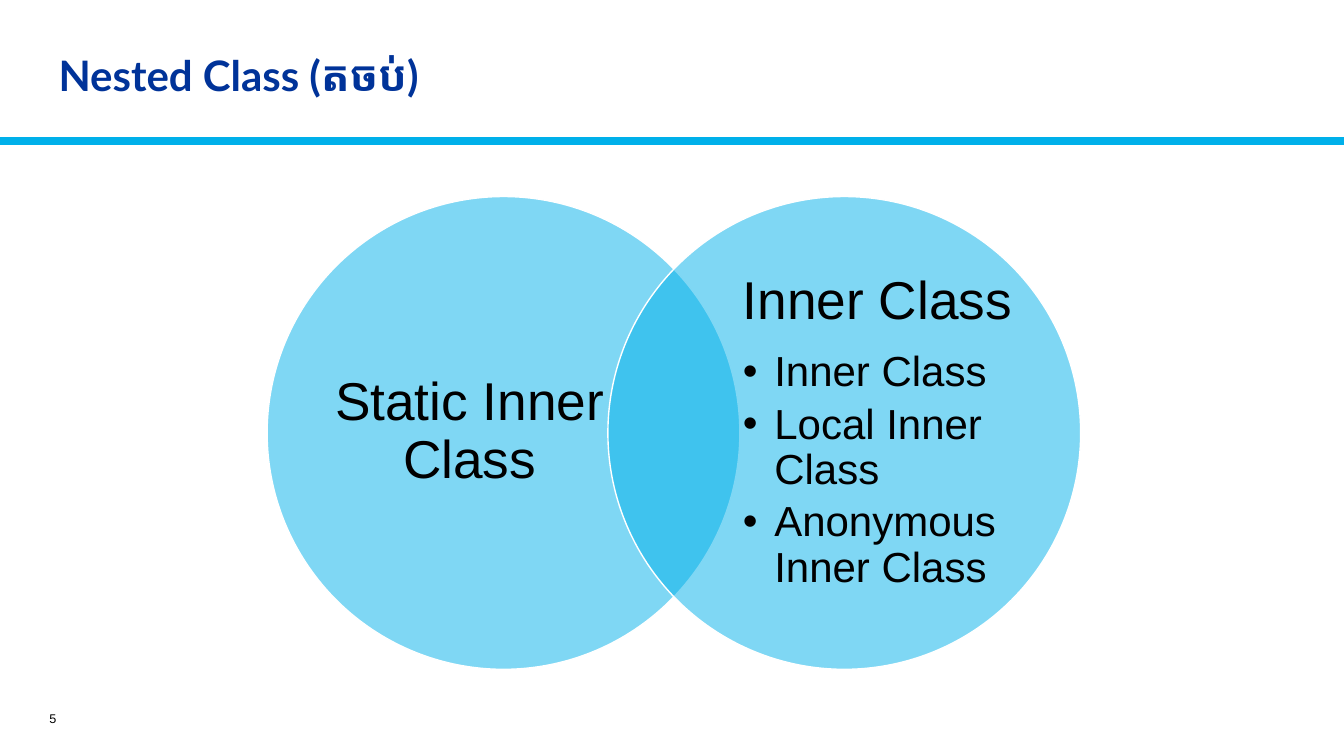
from lxml import etree
from pptx import Presentation
from pptx.dml.color import RGBColor
from pptx.enum.shapes import MSO_CONNECTOR, MSO_SHAPE
from pptx.enum.text import MSO_ANCHOR, MSO_AUTO_SIZE, PP_ALIGN
from pptx.oxml.ns import qn
from pptx.util import Pt

NAVY = RGBColor(0x00, 0x33, 0x99)
CYAN = RGBColor(0x00, 0xB0, 0xEA)
WHITE = RGBColor(0xFF, 0xFF, 0xFF)
BLACK = RGBColor(0x00, 0x00, 0x00)

WIDTH, HEIGHT = 960, 540
DIAMETER = 337.7
CIRCLE_LEFT, CIRCLE_TOP, CIRCLE_STEP = 190.8, 140.4, 243.4
LABEL_TOP, LABEL_WIDTH, LABEL_HEIGHT = 180, 194.4, 257.8


class SlideBuilder:
    """Holds the style and the current slide; lengths are in points."""

    heading_font = "Lato"
    body_font = "Arial"

    def __init__(self, slide):
        self.slide = slide
        self.shapes = slide.shapes

    def place(self, shape, left, top, width, height):
        shape.left, shape.top = Pt(left), Pt(top)
        shape.width, shape.height = Pt(width), Pt(height)

    def frame(self, shape, margin=0):
        frame = shape.text_frame
        frame.word_wrap = True
        frame.auto_size = MSO_AUTO_SIZE.NONE
        frame.vertical_anchor = MSO_ANCHOR.MIDDLE
        frame.margin_left = frame.margin_right = Pt(margin)
        frame.margin_top = frame.margin_bottom = Pt(margin / 2)
        return frame

    def add_text(self, paragraph, text, size, align=PP_ALIGN.LEFT, after=0,
                 font=body_font, color=BLACK, bold=False):
        paragraph.alignment = align
        paragraph.line_spacing = 0.9
        paragraph.space_before = Pt(0)
        paragraph.space_after = Pt(after)
        run = paragraph.add_run()
        run.text = text
        run.font.name, run.font.size = font, Pt(size)
        run.font.bold = bold
        run.font.color.rgb = color

    def bullet(self, paragraph, indent):
        properties = paragraph._p.get_or_add_pPr()
        properties.set("marL", str(Pt(indent)))
        properties.set("indent", str(-Pt(indent)))
        if indent:
            etree.SubElement(properties, qn("a:buChar"), char="•")
        else:
            etree.SubElement(properties, qn("a:buNone"))

    def title(self, text, *box):
        shape = self.shapes.title
        self.place(shape, *box)
        self.add_text(self.frame(shape, 7.2).paragraphs[0], text, 30,
                      font=self.heading_font, color=NAVY, bold=True)

    def rule(self, top, weight):
        line = self.shapes.add_connector(
            MSO_CONNECTOR.STRAIGHT, Pt(0), Pt(top), Pt(WIDTH), Pt(top))
        line.line.color.rgb = CYAN
        line.line.width = Pt(weight)
        etree.SubElement(line._element.spPr, qn("a:effectLst"))

    def circle(self, left, top, diameter):
        shape = self.shapes.add_shape(
            MSO_SHAPE.OVAL, Pt(left), Pt(top), Pt(diameter), Pt(diameter))
        shape.shadow.inherit = False
        shape.fill.solid()
        shape.fill.fore_color.rgb = CYAN
        color = shape._element.spPr.find(qn("a:solidFill"))[0]
        etree.SubElement(color, qn("a:alpha"), val="50000")
        shape.line.color.rgb = WHITE
        shape.line.width = Pt(1)

    def label(self, text, size, align, *box, after=0, margin=0):
        shape = self.shapes.add_textbox(*map(Pt, box))
        self.add_text(self.frame(shape, margin).paragraphs[0], text, size, align, after)

    def body_list(self, heading, items, *box):
        shape = self.slide.placeholders[1]
        self.place(shape, *box)
        # Bring the list in front of the circles
        self.shapes._spTree.append(shape._element)
        frame = self.frame(shape)
        first = frame.paragraphs[0]
        self.add_text(first, heading, 38, after=14)
        self.bullet(first, 0)
        for item in items:
            paragraph = frame.add_paragraph()
            paragraph.level = 1
            self.add_text(paragraph, item, 30, after=5)
            self.bullet(paragraph, 22.5)


def main():
    presentation = Presentation()
    presentation.slide_width, presentation.slide_height = Pt(WIDTH), Pt(HEIGHT)
    slide = presentation.slides.add_slide(presentation.slide_layouts[1])
    builder = SlideBuilder(slide)

    # Header
    builder.rule(100.8, 6)
    builder.title("Nested Class (តចប់)", 34.6, 25.5, 649.4, 59.8)

    # Overlapping circles
    for index in range(2):
        builder.circle(CIRCLE_LEFT + index * CIRCLE_STEP, CIRCLE_TOP, DIAMETER)

    # Circle texts
    builder.label("Static Inner Class", 38, PP_ALIGN.CENTER,
                  238.3, LABEL_TOP, LABEL_WIDTH, LABEL_HEIGHT, after=14)
    builder.body_list("Inner Class",
                      ["Inner Class", "Local Inner Class", "Anonymous Inner Class"],
                      530.6, LABEL_TOP, LABEL_WIDTH, LABEL_HEIGHT)

    # Slide number
    builder.label("5", 9, PP_ALIGN.RIGHT, 6.5, 503.3, 41, 21.6, margin=7.2)

    presentation.save("out.pptx")


if __name__ == "__main__":
    main()
